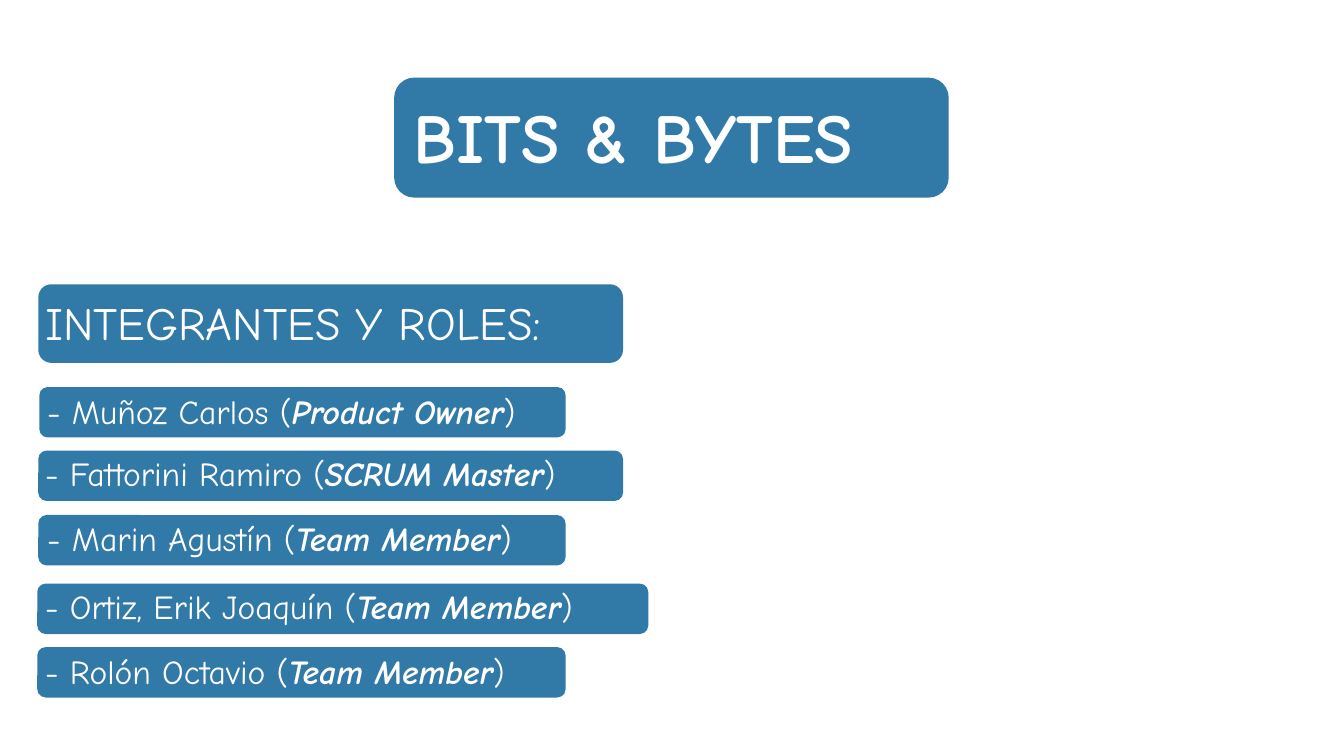
import dataclasses

import lxml.etree
import pptx
import pptx.dml.color
import pptx.enum.shapes
import pptx.enum.text
import pptx.oxml.ns
import pptx.util

Inches = pptx.util.Inches


@dataclasses.dataclass(frozen=True)
class Theme:
    """Colours, font and type sizes of the slide."""
    panel: str = "0A6097"
    panel_opacity: int = 84
    ink: str = "FFFFFF"
    font: str = "Comic Neue"
    title: int = 50
    heading: int = 33
    member: int = 24


THEME = Theme()

MEMBERS = [
    ("Muñoz Carlos", "Product Owner", (0.39, 3.84, 5.22, 0.5), (-0.02, -0.01)),
    ("Fattorini Ramiro", "SCRUM Master", (0.38, 4.47, 5.8, 0.5), (-0.03, -0.03)),
    ("Marin Agustín", "Team Member", (0.38, 5.11, 5.23, 0.5), (-0.01, -0.02)),
    ("Ortiz, Erik Joaquín", "Team Member", (0.37, 5.79, 6.06, 0.5), (-0.02, -0.03)),
    ("Rolón Octavio", "Team Member", (0.37, 6.42, 5.24, 0.5), (-0.02, -0.01)),
]


def add_panel(page, box):
    """Draw a translucent rounded panel in the given box."""
    panel = page.shapes.add_shape(
        pptx.enum.shapes.MSO_SHAPE.ROUNDED_RECTANGLE, *map(Inches, box))
    panel.shadow.inherit = False
    panel.fill.solid()
    panel.fill.fore_color.rgb = pptx.dml.color.RGBColor.from_string(THEME.panel)
    panel.line.fill.background()
    colour = panel.element.spPr.find(".//" + pptx.oxml.ns.qn("a:srgbClr"))
    lxml.etree.SubElement(colour, pptx.oxml.ns.qn("a:alpha"),
                          val=str(THEME.panel_opacity * 1000))


def add_span(para, text, size, bold=False, italic=False):
    """Append a formatted run to a paragraph."""
    span = para.add_run()
    span.text = text
    span.font.name = THEME.font
    span.font.size = pptx.util.Pt(size)
    span.font.bold = bold
    span.font.italic = italic
    span.font.color.rgb = pptx.dml.color.RGBColor.from_string(THEME.ink)


def prepare_frame(shape):
    """Set wrapping and alignment, and return the first paragraph."""
    frame = shape.text_frame
    frame.word_wrap = True
    frame.auto_size = pptx.enum.text.MSO_AUTO_SIZE.NONE
    frame.vertical_anchor = pptx.enum.text.MSO_ANCHOR.TOP
    para = frame.paragraphs[0]
    para.alignment = pptx.enum.text.PP_ALIGN.LEFT
    return para


def add_title(page, box):
    """Place the team name in the title placeholder over its panel."""
    add_panel(page, box)
    left, top, width, height = box
    title = page.shapes.title
    title.left, title.top = Inches(left + 0.09), Inches(top + 0.11)
    title.width, title.height = Inches(width - 0.17), Inches(height - 0.25)
    title.element.getparent().append(title.element)
    add_span(prepare_frame(title), "BITS & BYTES", THEME.title, bold=True)


def add_heading(page, box):
    """Place the section heading over its panel."""
    add_panel(page, box)
    left, top, width, height = box
    label = page.shapes.add_textbox(Inches(left - 0.03), Inches(top + 0.05),
                                    Inches(width + 0.5), Inches(height - 0.12))
    add_span(prepare_frame(label), "INTEGRANTES Y ROLES:", THEME.heading)


def add_member(page, name, role, box, offset):
    """Place one member and role over a panel."""
    add_panel(page, box)
    left, top, width, height = box
    label = page.shapes.add_textbox(Inches(left + offset[0]), Inches(top + offset[1]),
                                    Inches(width + 0.4), Inches(height))
    para = prepare_frame(label)
    add_span(para, f"- {name} (", THEME.member)
    add_span(para, role, THEME.member, bold=True, italic=True)
    add_span(para, ")", THEME.member)


def main():
    """Build and save the team slide."""
    deck = pptx.Presentation()
    deck.slide_width, deck.slide_height = Inches(13.33), Inches(7.5)
    page = deck.slides.add_slide(deck.slide_layouts.get_by_name("Title Only"))
    add_title(page, (3.91, 0.77, 5.5, 1.19))
    add_heading(page, (0.38, 2.82, 5.8, 0.78))
    for member in MEMBERS:
        add_member(page, *member)
    deck.save("out.pptx")


if __name__ == "__main__":
    main()
